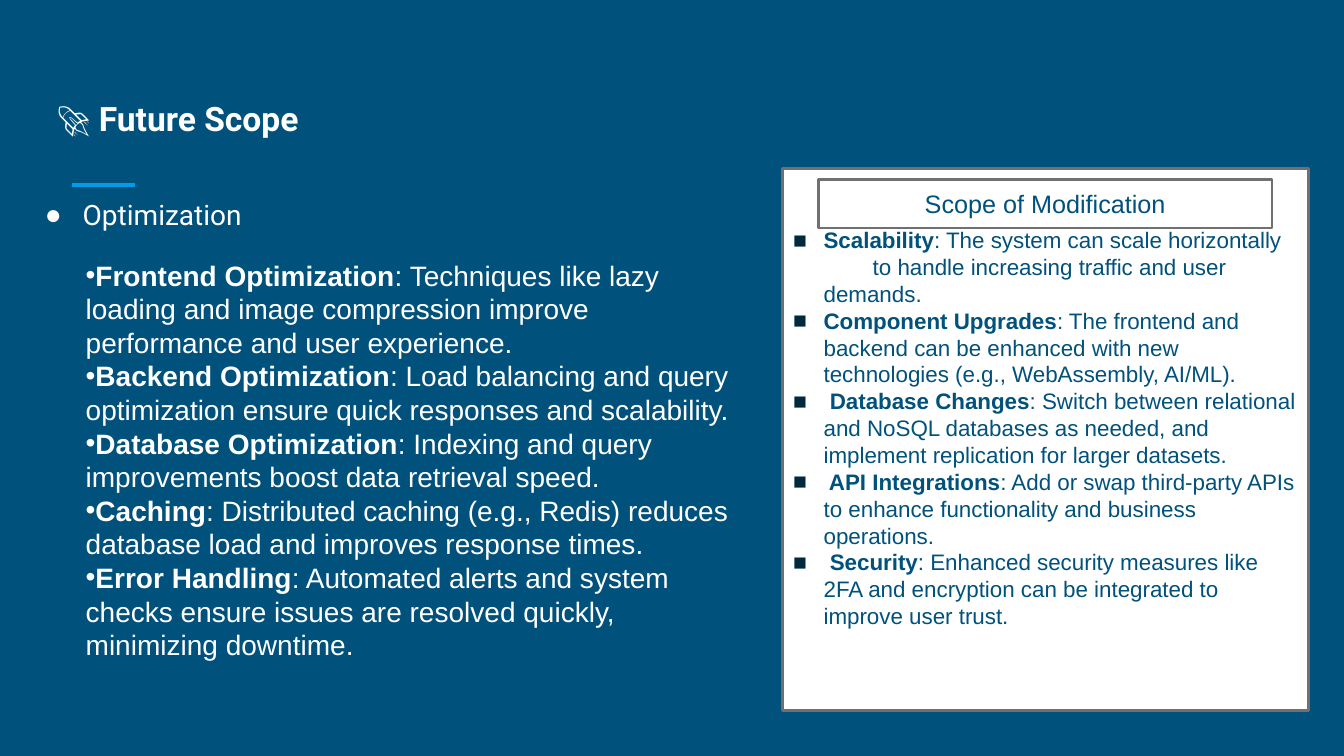
"""Build the Future Scope slide."""
from lxml.etree import SubElement
from pptx import Presentation
from pptx.dml.color import RGBColor
from pptx.enum.shapes import MSO_CONNECTOR, MSO_SHAPE
from pptx.enum.text import MSO_ANCHOR, MSO_AUTO_SIZE, PP_ALIGN
from pptx.oxml.ns import qn
from pptx.util import Pt

TITLE = "🚀 Future Scope"
TOPIC = "Optimization"
OPTIMIZATIONS = [
    ("Frontend Optimization", ": Techniques like lazy loading and image compression improve performance and user experience."),
    ("Backend Optimization", ": Load balancing and query optimization ensure quick responses and scalability."),
    ("Database Optimization", ": Indexing and query improvements boost data retrieval speed."),
    ("Caching", ": Distributed caching (e.g., Redis) reduces database load and improves response times."),
    ("Error Handling", ": Automated alerts and system checks ensure issues are resolved quickly, minimizing downtime."),
]
PANEL_TITLE = "Scope of Modification"
MODIFICATIONS = [
    ("Scalability", ": The system can scale horizontally\n\tto handle increasing traffic and user demands."),
    ("Component Upgrades", ": The frontend and backend can be enhanced with new technologies (e.g., WebAssembly, AI/ML)."),
    (" Database Changes", ": Switch between relational and NoSQL databases as needed, and implement replication for larger datasets."),
    (" API Integrations", ": Add or swap third-party APIs to enhance functionality and business operations."),
    (" Security", ": Enhanced security measures like 2FA and encryption can be integrated to improve user trust."),
]

NAVY = RGBColor(0x00, 0x51, 0x7C)
DARK = RGBColor(0x00, 0x29, 0x3E)
SKY = RGBColor(0x03, 0x9B, 0xE5)
GREY = RGBColor(0x70, 0x70, 0x70)
WHITE = RGBColor(0xFF, 0xFF, 0xFF)


def place(sp, left, top, width, height):
    sp.left, sp.top, sp.width, sp.height = Pt(left), Pt(top), Pt(width), Pt(height)


def set_bullet(p, char, color, percent, margin, hang, tab):
    pPr = p._p.get_or_add_pPr()
    pPr.set("marL", str(Pt(margin)))
    pPr.set("indent", str(Pt(-hang)))
    SubElement(SubElement(pPr, qn("a:buClr")), qn("a:srgbClr"), val=str(color))
    SubElement(pPr, qn("a:buSzPct"), val=str(percent * 1000))
    SubElement(pPr, qn("a:buFont"), typeface="Arial")
    SubElement(pPr, qn("a:buChar"), char=char)
    if tab:
        SubElement(SubElement(pPr, qn("a:tabLst")), qn("a:tab"), pos=str(Pt(tab)), algn="l")


def write(sp, items, size=20, font="Arial", color=WHITE, align=PP_ALIGN.LEFT,
          anchor=MSO_ANCHOR.MIDDLE, insets=(7.2, 3.6, 7.2, 3.6), spacing=1.0,
          bullet=None, bullet_color=WHITE, percent=100, margin=0, hang=0, tab=None):
    """Write (bold, regular) pairs, one paragraph each."""
    tf = sp.text_frame
    tf.word_wrap = True
    tf.auto_size = MSO_AUTO_SIZE.NONE
    tf.vertical_anchor = anchor
    tf.margin_left, tf.margin_top, tf.margin_right, tf.margin_bottom = map(Pt, insets)
    for i, (bold, regular) in enumerate(items):
        p = tf.add_paragraph() if i else tf.paragraphs[0]
        p.alignment = align
        p.line_spacing = spacing
        p.space_before = p.space_after = Pt(0)
        if bullet:
            set_bullet(p, bullet, bullet_color, percent, margin, hang, tab)
        for text, is_bold in ((bold, True), (regular, False)):
            for j, line in enumerate(text.split("\n")):
                if j:
                    p.add_line_break()
                if line:
                    r = p.add_run()
                    r.text = line
                    r.font.size, r.font.name, r.font.bold = Pt(size), font, is_bold
                    r.font.color.rgb = color


def add_box(slide, *box):
    sp = slide.shapes.add_shape(MSO_SHAPE.RECTANGLE, *map(Pt, box))
    sp.shadow.inherit = False
    sp.fill.solid()
    sp.fill.fore_color.rgb = WHITE
    sp.line.color.rgb = GREY
    sp.line.width = Pt(2)
    return sp


def main():
    prs = Presentation()
    prs.slide_width, prs.slide_height = Pt(960), Pt(540)
    slide = prs.slides.add_slide(prs.slide_layouts[3])
    slide.background.fill.solid()
    slide.background.fill.fore_color.rgb = NAVY
    title, topic, body = slide.placeholders

    rule = slide.shapes.add_connector(MSO_CONNECTOR.STRAIGHT, Pt(51.6), Pt(132.2), Pt(96.6), Pt(132.2))
    rule.line.color.rgb = SKY
    rule.line.width = Pt(3)
    SubElement(rule._element.spPr, qn("a:effectLst"))

    place(title, 41, 48.2, 878.4, 72)
    write(title, [(TITLE, "")], size=24, font="Roboto", insets=(0, 3.6, 7.2, 3.6))
    place(topic, 13.7, 128.2, 414.7, 323.3)
    write(topic, [("", TOPIC)], font="Roboto", anchor=MSO_ANCHOR.TOP, insets=(9.36,) * 4,
          spacing=1.15, bullet="●", margin=36, hang=27)
    place(body, 54, 179.3, 477.4, 298.1)
    write(body, OPTIMIZATIONS, bullet="•")

    panel = add_box(slide, 558.7, 120.2, 375.8, 387.4)
    write(panel, MODIFICATIONS, size=16, color=NAVY, insets=(7.2, 3.6, 7.2, 20.4),
          bullet="▪", bullet_color=DARK, percent=200, margin=22.5, hang=22.5, tab=57.6)
    heading = add_box(slide, 584.6, 128.2, 324, 34.6)
    write(heading, [("", PANEL_TITLE)], size=18, color=NAVY, align=PP_ALIGN.CENTER)

    prs.save("out.pptx")


if __name__ == "__main__":
    main()
